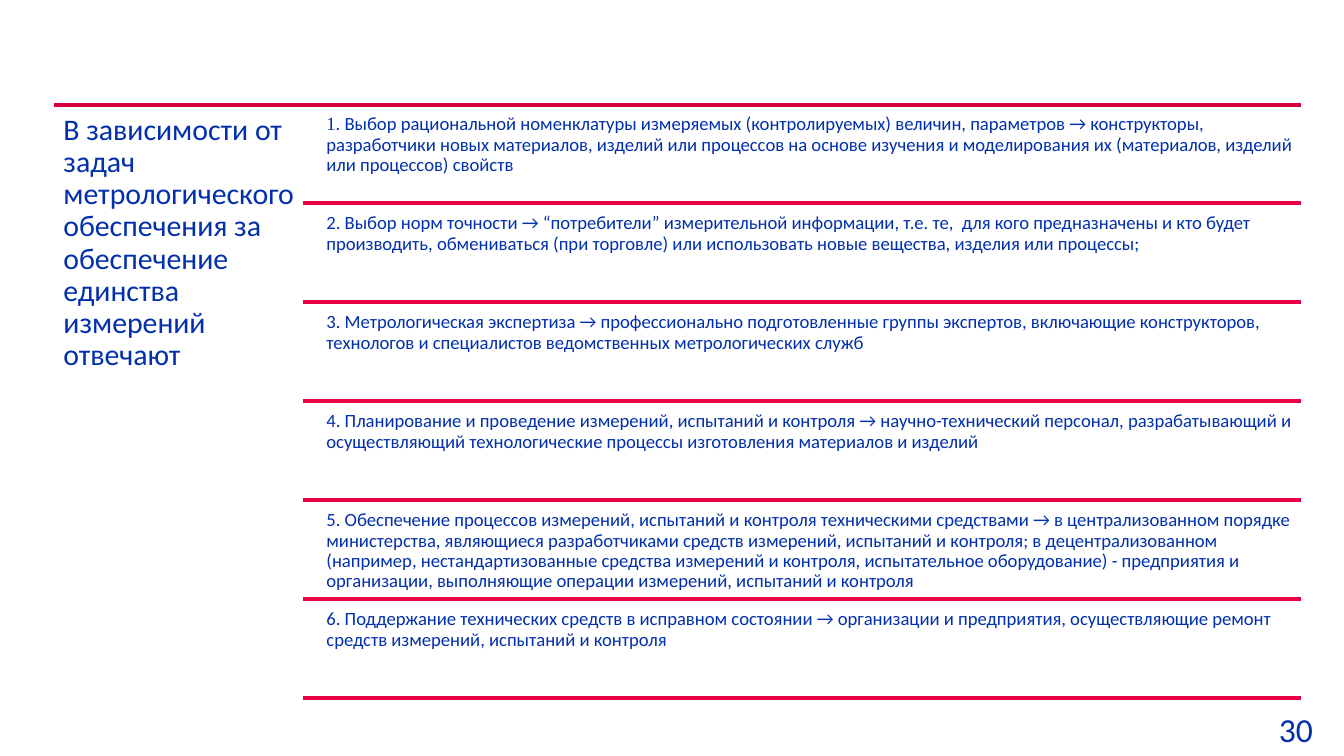
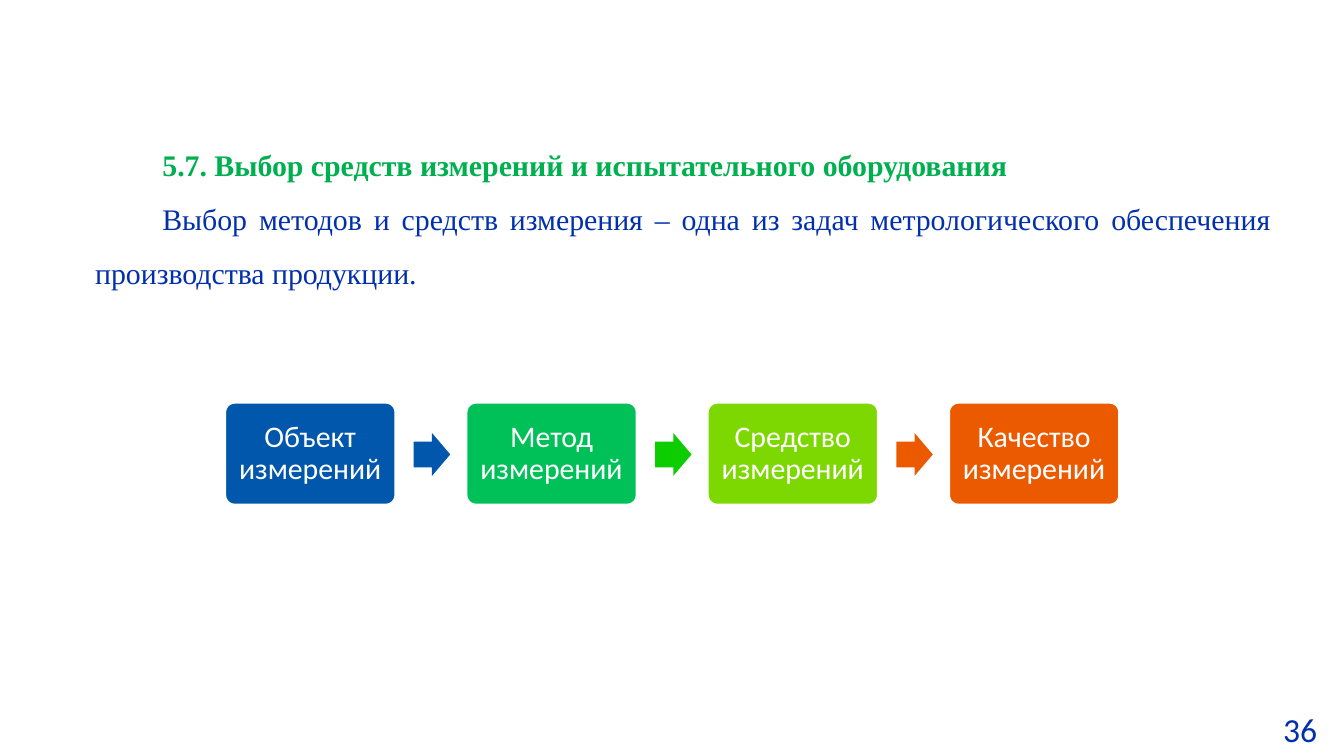
import pptx
import pptx.util
import pptx.dml.color
import pptx.enum.shapes
import pptx.enum.text
import pptx.oxml.ns
from lxml import etree

Cm = pptx.util.Cm
Pt = pptx.util.Pt
RGBColor = pptx.dml.color.RGBColor
MSO_SHAPE = pptx.enum.shapes.MSO_SHAPE
PP_ALIGN = pptx.enum.text.PP_ALIGN
MSO_ANCHOR = pptx.enum.text.MSO_ANCHOR

# Shared look
BODY_FONT = "Calibri"
SERIF_FONT = "Times New Roman"
NAVY = RGBColor(0x02, 0x30, 0xAC)
WHITE = RGBColor(0xFF, 0xFF, 0xFF)
CRIMSON = RGBColor(0xD6, 0x00, 0x3E)
RED = RGBColor(0xEC, 0x00, 0x44)
HEADING_GREEN = RGBColor(0x00, 0xB0, 0x50)
BLUE = RGBColor(0x00, 0x57, 0xAC)
EMERALD = RGBColor(0x00, 0xC1, 0x58)
GREEN = RGBColor(0x0D, 0xCC, 0x00)
LIME = RGBColor(0x7D, 0xD7, 0x00)
ORANGE = RGBColor(0xEC, 0x5A, 0x00)

# Slide content
QUESTION = ("В зависимости от задач метрологического обеспечения "
            "за обеспечение единства измерений отвечают")
DUTIES = [
    "1. Выбор рациональной номенклатуры измеряемых (контролируемых) величин, "
    "параметров → конструкторы, разработчики новых материалов, изделий или "
    "процессов на основе изучения и моделирования их (материалов, изделий или "
    "процессов) свойств",
    "2. Выбор норм точности → “потребители” измерительной информации, т.е. те,  "
    "для кого предназначены и кто будет производить, обмениваться (при торговле) "
    "или использовать новые вещества, изделия или процессы;",
    "3. Метрологическая экспертиза → профессионально подготовленные группы "
    "экспертов, включающие конструкторов, технологов и специалистов "
    "ведомственных метрологических служб",
    "4. Планирование и проведение измерений, испытаний и контроля → "
    "научно-технический персонал, разрабатывающий и осуществляющий "
    "технологические процессы изготовления материалов и изделий",
    "5. Обеспечение процессов измерений, испытаний и контроля техническими "
    "средствами → в централизованном порядке министерства, являющиеся "
    "разработчиками средств измерений, испытаний и контроля; в "
    "децентрализованном (например, нестандартизованные средства измерений и "
    "контроля, испытательное оборудование) - предприятия и организации, "
    "выполняющие операции измерений, испытаний и контроля",
    "6. Поддержание технических средств в исправном состоянии → организации и "
    "предприятия, осуществляющие ремонт средств измерений, испытаний и контроля",
]
HEADING = "5.7. Выбор средств измерений и испытательного оборудования"
INTRO = ("Выбор методов и средств измерения – одна из задач метрологического "
         "обеспечения производства продукции.")
# Step text, box colour, colour of the arrow that follows
STEPS = [
    ("Объект измерений", BLUE, BLUE),
    ("Метод измерений", EMERALD, GREEN),
    ("Средство измерений", LIME, ORANGE),
    ("Качество измерений", ORANGE, None),
]


def style_run(r, size, color, font=BODY_FONT, bold=False):
    r.font.size = Pt(size)
    r.font.color.rgb = color
    r.font.name = font
    r.font.bold = bold


def set_insets(tf, inset):
    tf.margin_left = tf.margin_right = Cm(inset)
    tf.margin_top = tf.margin_bottom = Cm(inset)


def add_text(s, left, top, width, height, text, size, inset):
    tf = s.shapes.add_textbox(Cm(left), Cm(top), Cm(width), Cm(height)).text_frame
    tf.word_wrap = True
    set_insets(tf, inset)
    tf.text = text
    p = tf.paragraphs[0]
    p.line_spacing = 0.9
    style_run(p.runs[0], size, NAVY)
    return tf


def add_rule(s, left, right, y, color):
    line = s.shapes.add_connector(pptx.enum.shapes.MSO_CONNECTOR.STRAIGHT,
                                  Cm(left), Cm(y), Cm(right), Cm(y))
    line.line.color.rgb = color
    line.line.width = Pt(2)
    etree.SubElement(line.element.spPr, pptx.oxml.ns.qn("a:effectLst"))


def add_shape(s, kind, left, top, width, height, fill, outline=None):
    sp = s.shapes.add_shape(kind, Cm(left), Cm(top), Cm(width), Cm(height))
    sp.shadow.inherit = False
    sp.fill.solid()
    sp.fill.fore_color.rgb = fill
    if outline is None:
        sp.line.fill.background()
    else:
        sp.line.color.rgb = outline
        sp.line.width = Pt(2)
    return sp


def add_page_number(s, left, number):
    tf = add_text(s, left, 13.26, 24.35 + 1 - left, 1.02, str(number), 18, 0.13)
    tf.margin_left = Cm(0.83)
    tf.paragraphs[0].line_spacing = 1.0
    tf.auto_size = pptx.enum.text.MSO_AUTO_SIZE.SHAPE_TO_FIT_TEXT


def add_duties(s):
    right, row_step = 24.59, 1.87
    add_rule(s, 1.02, right, 1.98, CRIMSON)
    add_text(s, 1.02, 1.98, 4.72, 11.28, QUESTION, 16, 0.18)
    for i, duty in enumerate(DUTIES):
        tf = add_text(s, 6.07, 2.07 + i * row_step, 18.52, 1.78, duty, 10, 0.1)
        add_rule(s, 5.72, right, 3.84 + i * row_step, RED)
        if i == 0:
            # The first number is set in the serif font
            p = tf.paragraphs[0]
            p.runs[0].text = duty[0]
            p.runs[0].font.name = SERIF_FONT
            r = p.add_run()
            r.text = duty[1:]
            style_run(r, 10, NAVY)


def add_intro(s):
    sp = add_shape(s, MSO_SHAPE.RECTANGLE, 1.55, 2.31, 22.73, 4.37, WHITE)
    tf = sp.text_frame
    tf.word_wrap = True
    tf.vertical_anchor = MSO_ANCHOR.TOP
    tf.text = HEADING + "\n" + INTRO
    for p, color, bold in zip(tf.paragraphs, (HEADING_GREEN, NAVY), (True, False)):
        p.alignment = PP_ALIGN.JUSTIFY
        p.line_spacing = 1.5
        p._p.get_or_add_pPr().set("indent", str(Cm(1.27)))
        style_run(p.runs[0], 16, color, SERIF_FONT, bold)


def add_steps(s):
    for i, (text, fill, arrow_fill) in enumerate(STEPS):
        left = 4.24 + i * 4.56
        sp = add_shape(s, MSO_SHAPE.ROUNDED_RECTANGLE, left, 7.59, 3.25, 1.96,
                       fill, WHITE)
        sp.adjustments[0] = 0.1
        tf = sp.text_frame
        tf.word_wrap = True
        tf.vertical_anchor = MSO_ANCHOR.MIDDLE
        set_insets(tf, 0.18)
        tf.text = text
        p = tf.paragraphs[0]
        p.alignment = PP_ALIGN.CENTER
        p.line_spacing = 0.9
        style_run(p.runs[0], 16, WHITE)
        if arrow_fill is not None:
            arrow = add_shape(s, MSO_SHAPE.RIGHT_ARROW, left + 3.58, 8.18,
                              0.69, 0.81, arrow_fill)
            arrow.adjustments[0] = 0.6
            arrow.adjustments[1] = 0.5


def main():
    prs = pptx.Presentation()
    prs.slide_width = Cm(25.4)
    prs.slide_height = Cm(14.28)
    blank = prs.slide_layouts[6]

    # Who is responsible for each task
    s = prs.slides.add_slide(blank)
    add_page_number(s, 23.34, 30)
    add_duties(s)

    # Choosing measuring instruments
    s = prs.slides.add_slide(blank)
    add_intro(s)
    add_page_number(s, 23.42, 36)
    add_steps(s)

    prs.save("out.pptx")


if __name__ == "__main__":
    main()
